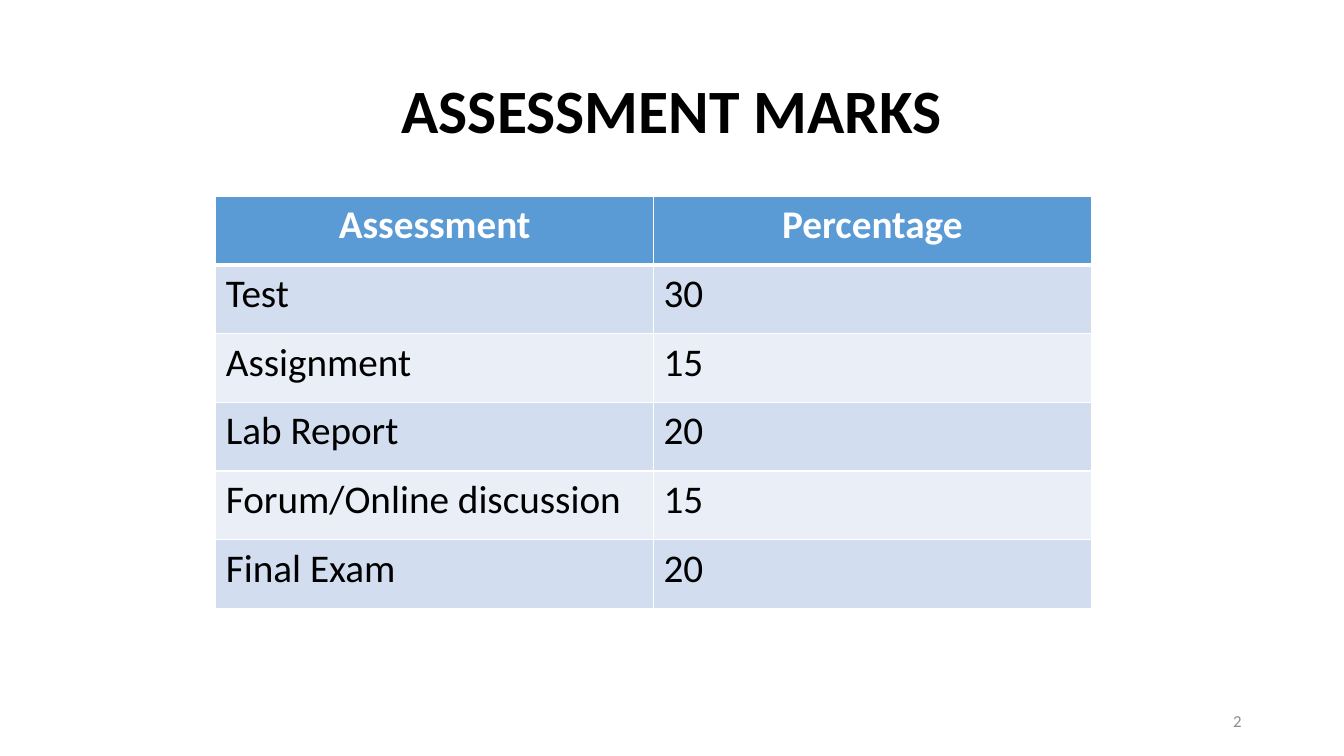
from dataclasses import dataclass

from lxml import etree
from pptx import Presentation
from pptx.dml.color import RGBColor
from pptx.enum.text import MSO_ANCHOR, PP_ALIGN
from pptx.oxml.ns import qn
from pptx.util import Cm, Pt

LEFT, MID, RIGHT = PP_ALIGN.LEFT, PP_ALIGN.CENTER, PP_ALIGN.RIGHT
CENTRE = MSO_ANCHOR.MIDDLE
FONT = "Calibri"
WHITE, BLACK, GREY = "FFFFFF", "000000", "8C8C8C"
HEAD, BANDS = "5B9BD5", ("D2DEEF", "EAEFF7")
WIDE, HIGH = 11.03, 1.73


@dataclass
class Look:
    size: int
    tone: str
    bold: bool
    align: PP_ALIGN


@dataclass
class Mark:
    name: str
    share: str


TITLE = Look(44, BLACK, True, MID)
TOP = Look(28, WHITE, True, MID)
BODY = Look(28, BLACK, False, LEFT)
PAGE = Look(12, GREY, False, RIGHT)

MARKS = [
    Mark("Assessment", "Percentage"),
    Mark("Test", "30"),
    Mark("Assignment", "15"),
    Mark("Lab Report", "20"),
    Mark("Forum/Online discussion", "15"),
    Mark("Final Exam", "20"),
]


def tint(code: str) -> RGBColor:
    return RGBColor.from_string(code)


def put(obj, vals: dict) -> None:
    for key, val in vals.items():
        setattr(obj, key, val)


def write(frame, text: str, look: Look) -> None:
    para = frame.paragraphs[0]
    para.alignment = look.align
    run = para.add_run()
    run.text = text
    put(run.font, {"name": FONT, "size": Pt(look.size), "bold": look.bold})
    run.font.color.rgb = tint(look.tone)


def place(shape, left: float, top: float, width: float, height: float) -> None:
    put(shape, {"left": Cm(left), "top": Cm(top),
                "width": Cm(width), "height": Cm(height)})


def edge(cell, sides: dict) -> None:
    props = cell._tc.get_or_add_tcPr()
    for spot, (side, width) in enumerate(sides.items()):
        line = etree.Element(qn(f"a:ln{side}"), w=str(Pt(width)))
        fill = etree.SubElement(line, qn("a:solidFill"))
        etree.SubElement(fill, qn("a:srgbClr"), val=WHITE)
        props.insert(spot, line)


def draw(slide, marks: list[Mark]) -> None:
    grid = slide.shapes.add_table(
        len(marks), 2, Cm(5.44), Cm(4.95),
        Cm(2 * WIDE), Cm(len(marks) * HIGH)).table
    for col in grid.columns:
        col.width = Cm(WIDE)
    for row, mark in enumerate(marks):
        grid.rows[row].height = Cm(HIGH)
        look = BODY if row else TOP
        back = BANDS[(row - 1) % 2] if row else HEAD
        sides = {"L": 1, "R": 1, "T": 3 if row == 1 else 1,
                 "B": 1 if row else 3}
        for cell, text in zip(grid.rows[row].cells, (mark.name, mark.share)):
            write(cell.text_frame, text, look)
            cell.fill.solid()
            cell.fill.fore_color.rgb = tint(back)
            edge(cell, sides)


def main() -> None:
    deck = Presentation()
    put(deck, {"slide_width": Cm(33.87), "slide_height": Cm(19.05)})
    slide = deck.slides.add_slide(deck.slide_layouts[5])

    title = slide.shapes.title
    place(title, 2.33, 1.01, 29.21, 3.68)
    put(title.text_frame, {"vertical_anchor": CENTRE, "word_wrap": True})
    write(title.text_frame, "ASSESSMENT MARKS", TITLE)
    title.text_frame.paragraphs[0].line_spacing = 0.9

    draw(slide, MARKS)

    page = slide.shapes.add_textbox(0, 0, 0, 0)
    place(page, 23.92, 17.66, 7.62, 1.01)
    put(page.text_frame, {"vertical_anchor": CENTRE, "word_wrap": True})
    write(page.text_frame, "2", PAGE)

    deck.save("out.pptx")


if __name__ == "__main__":
    main()
